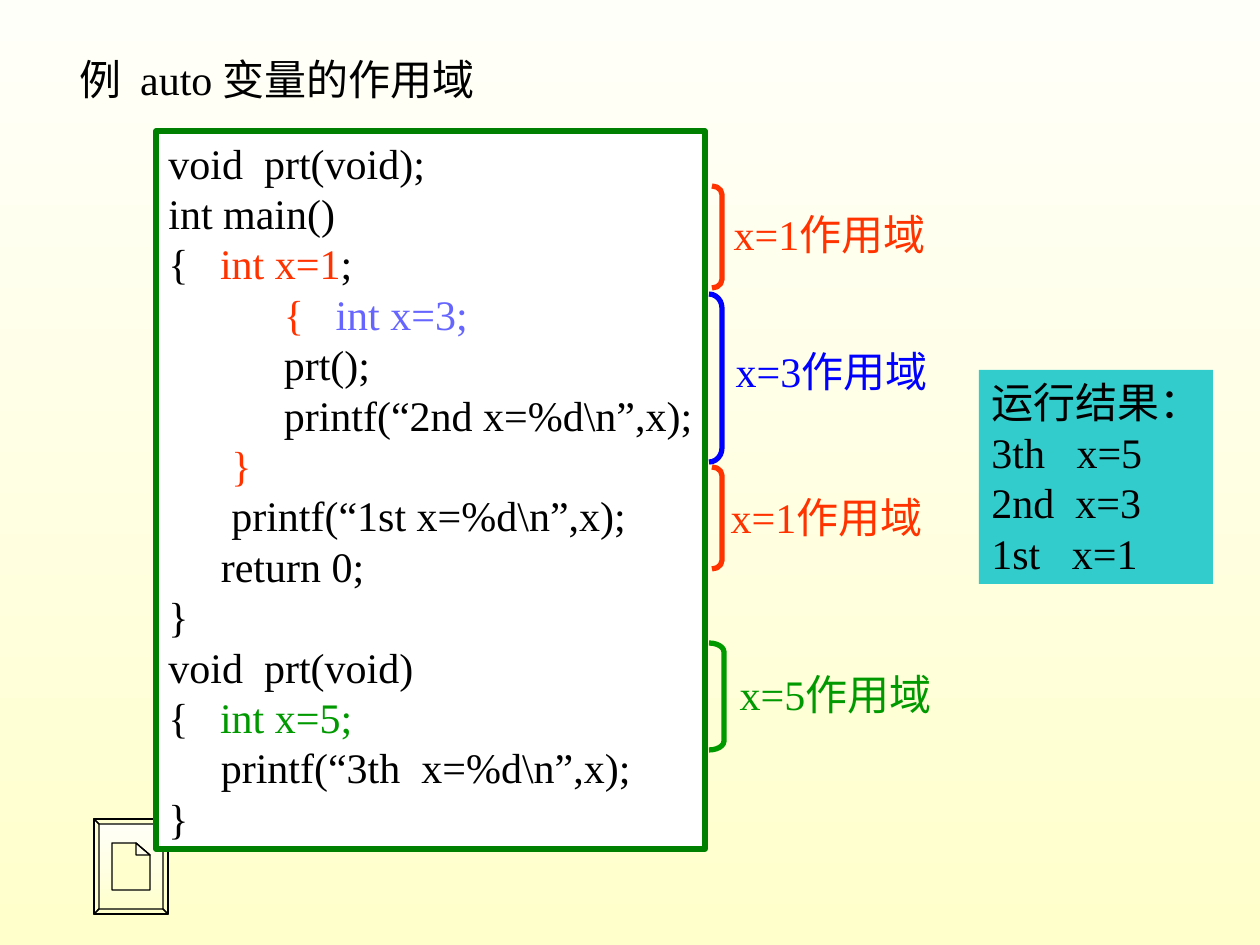
from pptx import Presentation
from pptx import util as u
from pptx.dml.color import RGBColor
from pptx.enum import shapes, text

EMU_PER_PX = 914400 / 126

BLACK = RGBColor(0x00, 0x00, 0x00)
WHITE = RGBColor(0xFF, 0xFF, 0xFF)
RED = RGBColor(0xFF, 0x33, 0x00)
BLUE = RGBColor(0x00, 0x00, 0xFF)
VIOLET = RGBColor(0x66, 0x66, 0xFF)
GREEN = RGBColor(0x00, 0x99, 0x00)
DARK_GREEN = RGBColor(0x00, 0x80, 0x00)
TEAL = RGBColor(0x33, 0xCC, 0xCC)
IVORY = RGBColor(0xFF, 0xFF, 0xFA)
CREAM = RGBColor(0xFF, 0xFF, 0xCC)


def px(*lengths):
    return [u.Emu(round(length * EMU_PER_PX)) for length in lengths]


def write_text(shape, lines, *, color=BLACK, align=text.PP_ALIGN.LEFT,
               anchor=text.MSO_ANCHOR.TOP, size=24, font="Times New Roman"):
    """Fill a shape with lines, each a string or a list of (string, color) runs."""
    frame = shape.text_frame
    frame.word_wrap = False
    frame.auto_size = text.MSO_AUTO_SIZE.SHAPE_TO_FIT_TEXT
    frame.vertical_anchor = anchor
    for index, line in enumerate(lines):
        paragraph = frame.add_paragraph() if index else frame.paragraphs[0]
        paragraph.alignment = align
        for words, run_color in [(line, color)] if isinstance(line, str) else line:
            run = paragraph.add_run()
            run.text = words
            run.font.name = font
            run.font.size = u.Pt(size)
            run.font.color.rgb = run_color


presentation = Presentation()
presentation.slide_width, presentation.slide_height = px(1260, 945)
slide = presentation.slides.add_slide(presentation.slide_layouts[6])

# Document button: outer frame, four bevels, page and folded corner
left, top, right, bottom = 94, 819, 168, 914
outer = [(left, top), (right, top), (right, bottom), (left, bottom)]
inner = [(left + 5, top + 5), (right - 5, top + 5),
         (right - 5, bottom - 5), (left + 5, bottom - 5)]
bevels = [[outer[i], outer[(i + 1) % 4], inner[(i + 1) % 4], inner[i]]
          for i in range(4)]
page = [(112, 843), (136, 843), (150, 855), (150, 890), (112, 890)]
fold = [(136, 843), (150, 855), (136, 855)]
builder = slide.shapes.build_freeform(left, top, scale=EMU_PER_PX)
builder.add_line_segments(outer[1:], close=True)
for contour in [*bevels, page, fold]:
    builder.move_to(*contour[0])
    builder.add_line_segments(contour[1:], close=True)
button = builder.convert_to_shape()
button.shadow.inherit = False
button.line.color.rgb = BLACK
button.line.width = u.Pt(0.75)

# Slide and button share one top-to-bottom gradient
for fill in (slide.background.fill, button.fill):
    fill.gradient()
    fill.gradient_angle = 270
    for stop, position, color in zip(fill.gradient_stops, (0, 1), (IVORY, CREAM)):
        stop.position = position
        stop.color.rgb = color

title = slide.shapes.add_textbox(*px(67, 47, 441, 63))
write_text(title, ["例  auto 变量的作用域"])

CODE = [
    "void  prt(void);",
    "int main()",
    [("{   ", BLACK), ("int x=1", RED), (";", BLACK)],
    [("           ", BLACK), ("{   ", RED), ("int x=3;", VIOLET)],
    "           prt();",
    "           printf(“2nd x=%d\\n”,x);",
    [("      ", BLACK), ("}", RED)],
    "      printf(“1st x=%d\\n”,x);",
    "     return 0;",
    "}",
    "void  prt(void)",
    [("{   ", BLACK), ("int x=5;", GREEN)],
    "     printf(“3th  x=%d\\n”,x);",
    "}",
]
RESULT = ["运行结果：", "3th   x=5", "2nd  x=3", "1st   x=1"]

for box, color, border, lines in [
    ((156, 131, 549, 718), WHITE, DARK_GREEN, CODE),
    ((979, 370, 234, 214), TEAL, None, RESULT),
]:
    panel = slide.shapes.add_shape(shapes.MSO_SHAPE.RECTANGLE, *px(*box))
    panel.shadow.inherit = False
    panel.fill.solid()
    panel.fill.fore_color.rgb = color
    if border:
        panel.line.color.rgb = border
        panel.line.width = u.Pt(3)
    else:
        panel.line.fill.background()
    write_text(panel, lines)

# Each scope group: colour, label, bracket boxes, label corners
for color, label, brackets, corners in [
    (RED, "x=1作用域", [(712, 186, 10, 102), (712, 467, 10, 102)],
     [(716, 202), (713, 485)]),
    (BLUE, "x=3作用域", [(709, 294, 13, 168)], [(718, 339)]),
    (GREEN, "x=5作用域", [(709, 643, 15, 107)], [(722, 662)]),
]:
    scope = slide.shapes.add_group_shape()
    for box in brackets:
        bracket = scope.shapes.add_shape(shapes.MSO_SHAPE.RIGHT_BRACKET, *px(*box))
        width, height = box[2:]
        bracket.adjustments[0] = round(height / 12 / width, 2)
        bracket.shadow.inherit = False
        bracket.fill.background()
        bracket.line.color.rgb = color
        bracket.line.width = u.Pt(3)
    for corner in corners:
        caption = scope.shapes.add_textbox(*px(*corner, 227, 63))
        write_text(caption, [label], color=color, align=text.PP_ALIGN.CENTER,
                   anchor=text.MSO_ANCHOR.MIDDLE)

presentation.save("out.pptx")
